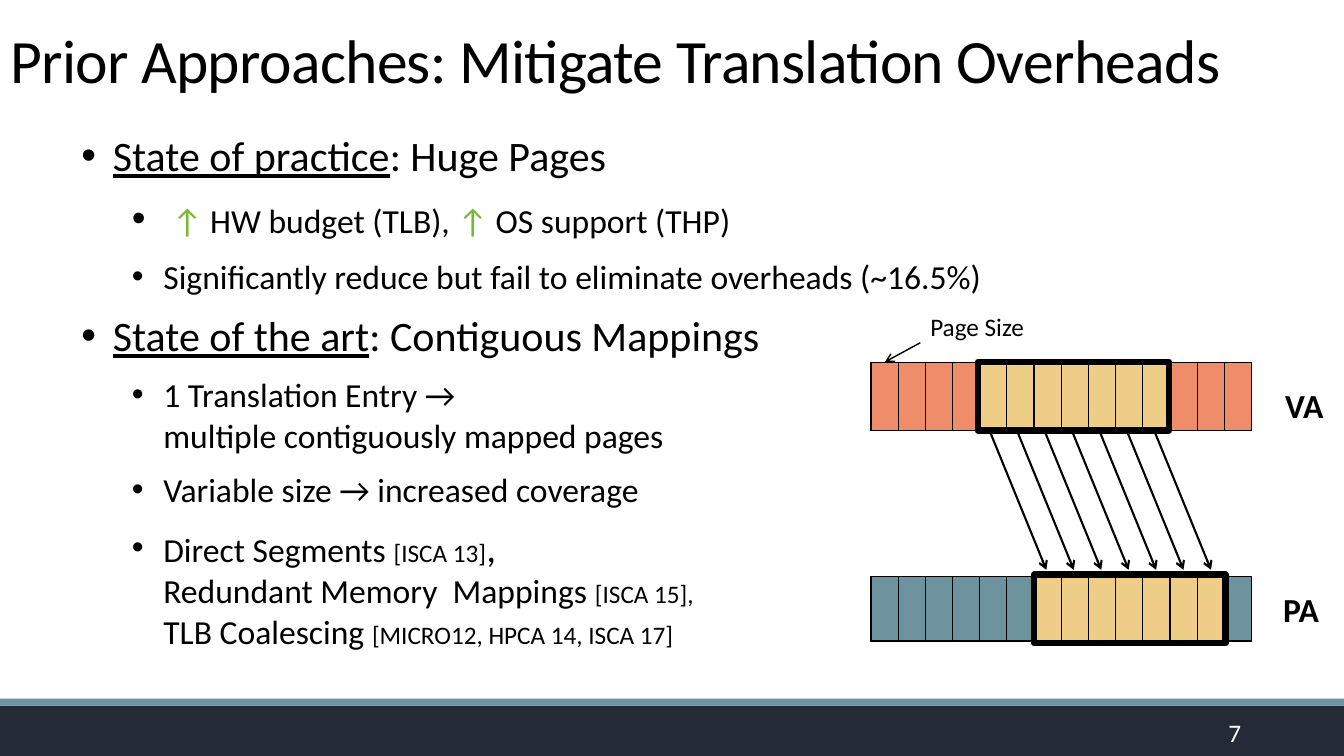
from lxml.etree import SubElement
from pptx import Presentation
from pptx.dml.color import RGBColor
from pptx.enum.shapes import MSO_CONNECTOR, MSO_SHAPE
from pptx.enum.text import MSO_ANCHOR, PP_ALIGN
from pptx.oxml.ns import qn
from pptx.util import Pt

# Content
TITLE = "Prior Approaches: Mitigate Translation Overheads"
BIG, MID, NORMAL, CITE = 30, 28, 24, 18
# (level, runs); each run is (text, size, style), a line break is "\n" at its end
BULLETS = [
    (0, [("State of practice", BIG, "underline"), (": Huge Pages", BIG, "")]),
    (1, [(" ", MID, ""), ("↑ ", NORMAL, "up"), ("HW budget (TLB), ", NORMAL, ""),
         ("↑ ", NORMAL, "up"), ("OS support (THP)", NORMAL, "")]),
    (1, [("Significantly reduce but fail to eliminate overheads (~16.5%)", NORMAL, "")]),
    (0, [("State of the art", BIG, "underline"), (": Contiguous Mappings", BIG, "")]),
    (1, [("1 Translation Entry → \n", NORMAL, ""),
         ("multiple contiguously mapped pages", NORMAL, "")]),
    (1, [("Variable size → increased coverage", NORMAL, "")]),
    (1, [("Direct Segments ", NORMAL, ""), ("[ISCA 13]", CITE, ""), (",\n", MID, ""),
         ("Redundant Memory  Mappings ", NORMAL, ""), ("[ISCA 15], \n", CITE, ""),
         ("TLB Coalescing ", NORMAL, ""), ("[MICRO12, HPCA 14, ISCA 17]", CITE, "")]),
]
# text, left, top, width, height, size, bold
LABELS = [
    ("Page Size", 657.4, 218.9, 82, 29, 18, False),
    ("VA", 910.8, 271.4, 42.5, 36, 24, True),
    ("PA", 909.4, 416.9, 40.3, 36, 24, True),
]
# top, height, colour, first mapped page, frame left, frame top
MEMORIES = [
    (259.2, 48.2, "virtual", 4, 698.4, 258.5),
    (411.8, 46.1, "physical", 6, 738.7, 410.4),
]
PAGES, MAPPED = 14, 7
MEM_LEFT, PAGE_W = 622.1, 19.44
FRAME_W, FRAME_H = 136.8, 49
COLORS = {
    "black": "000000", "white": "FFFFFF", "up": "78B832", "footer": "242B37",
    "physical": "6D939E", "virtual": "EF8C6A", "mapped": "EECD86",
}


def rgb(name):
    return RGBColor.from_string(COLORS[name])


def style(font, size, color="black", bold=False):
    font.name, font.size, font.bold = "Calibri", Pt(size), bold
    font.color.rgb = rgb(color)


def add_text(text, left, top, width, height, size, color="black", bold=False):
    tf = s.shapes.add_textbox(Pt(left), Pt(top), Pt(width), Pt(height)).text_frame
    tf.text = text
    tf.word_wrap = False
    style(tf.paragraphs[0].runs[0].font, size, color, bold)
    return tf


def add_rect(left, top, width, height, fill=None):
    sp = s.shapes.add_shape(MSO_SHAPE.RECTANGLE, Pt(left), Pt(top), Pt(width), Pt(height))
    sp.shadow.inherit = False
    if fill:
        sp.fill.solid()
        sp.fill.fore_color.rgb = rgb(fill)
        sp.line.fill.background()
    else:
        sp.fill.background()
        sp.line.color.rgb = rgb("black")
        sp.line.width = Pt(4.5)


def add_arrow(x1, y1, x2, y2, width):
    cx = s.shapes.add_connector(MSO_CONNECTOR.STRAIGHT, Pt(x1), Pt(y1), Pt(x2), Pt(y2))
    cx.line.color.rgb = rgb("black")
    cx.line.width = Pt(width)
    SubElement(cx.line._get_or_add_ln(), qn("a:tailEnd"), type="arrow")
    SubElement(cx._element.spPr, qn("a:effectLst"))


def add_borders(cell):
    tcPr = cell._tc.get_or_add_tcPr()
    for i, side in enumerate(("lnL", "lnR", "lnT", "lnB")):
        ln = tcPr.makeelement(qn("a:" + side), {"w": str(Pt(1))})
        fill = SubElement(ln, qn("a:solidFill"))
        SubElement(fill, qn("a:srgbClr"), val=COLORS["black"])
        tcPr.insert(i, ln)


prs = Presentation()
prs.slide_width, prs.slide_height = Pt(960), Pt(540)
s = prs.slides.add_slide(prs.slide_layouts[5])

# Footer band and page number
add_rect(0, 504, 960, 36, "footer")
add_rect(0, 499, 960, 5, "physical")
tf = add_text("7", 790.6, 508.3, 103, 29, 18, "white")
tf.word_wrap = True
tf.vertical_anchor = MSO_ANCHOR.MIDDLE
tf.paragraphs[0].alignment = PP_ALIGN.RIGHT

# Title
title = s.shapes.title
title.left, title.top, title.width, title.height = Pt(0), Pt(0.7), Pt(960), Pt(71.3)
tf = title.text_frame
tf.text = TITLE
tf.vertical_anchor = MSO_ANCHOR.BOTTOM
p = tf.paragraphs[0]
p.alignment, p.line_spacing = PP_ALIGN.LEFT, 0.85
style(p.runs[0].font, 44)
p.runs[0].font._element.set("spc", "-50")

# Bullets
tf = s.shapes.add_textbox(Pt(51.1), Pt(89.3), Pt(777.6), Pt(388)).text_frame
tf.word_wrap = True
for i, (level, runs) in enumerate(BULLETS):
    p = tf.paragraphs[0] if i == 0 else tf.add_paragraph()
    p.level, p.space_after = level, Pt(10)
    pPr = p._p.get_or_add_pPr()
    pPr.set("marL", str(Pt(22.5 + 36 * level)))
    pPr.set("indent", str(Pt(-22.5)))
    SubElement(pPr, qn("a:buFont"), typeface="Arial")
    SubElement(pPr, qn("a:buChar"), char="•")
    for text, size, kind in runs:
        r = p.add_run()
        r.text = text.rstrip("\n")
        style(r.font, size, "up" if kind == "up" else "black")
        r.font.underline = kind == "underline"
        if text.endswith("\n"):
            p.add_line_break()

# Memory rows with the mapped range framed
for top, height, color, first, frame_left, frame_top in MEMORIES:
    table = s.shapes.add_table(1, PAGES, Pt(MEM_LEFT), Pt(top),
                               Pt(PAGES * PAGE_W), Pt(height)).table
    table.first_row = table.horz_banding = False
    for i in range(PAGES):
        table.columns[i].width = Pt(PAGE_W)
        cell = table.cell(0, i)
        cell.fill.solid()
        cell.fill.fore_color.rgb = rgb("mapped" if first <= i < first + MAPPED else color)
        add_borders(cell)
    add_rect(frame_left, frame_top, FRAME_W, FRAME_H)

# Mapping arrows, page-size pointer and labels
for i in range(MAPPED):
    x = 707 + 19.6 * i
    add_arrow(x, 308, x + 40.4, 407, 1.5)
add_arrow(657.4, 244.8, 632.2, 258.5, 1)
for label in LABELS:
    text, left, top, width, height, size, bold = label
    add_text(text, left, top, width, height, size, bold=bold)

prs.save("out.pptx")
